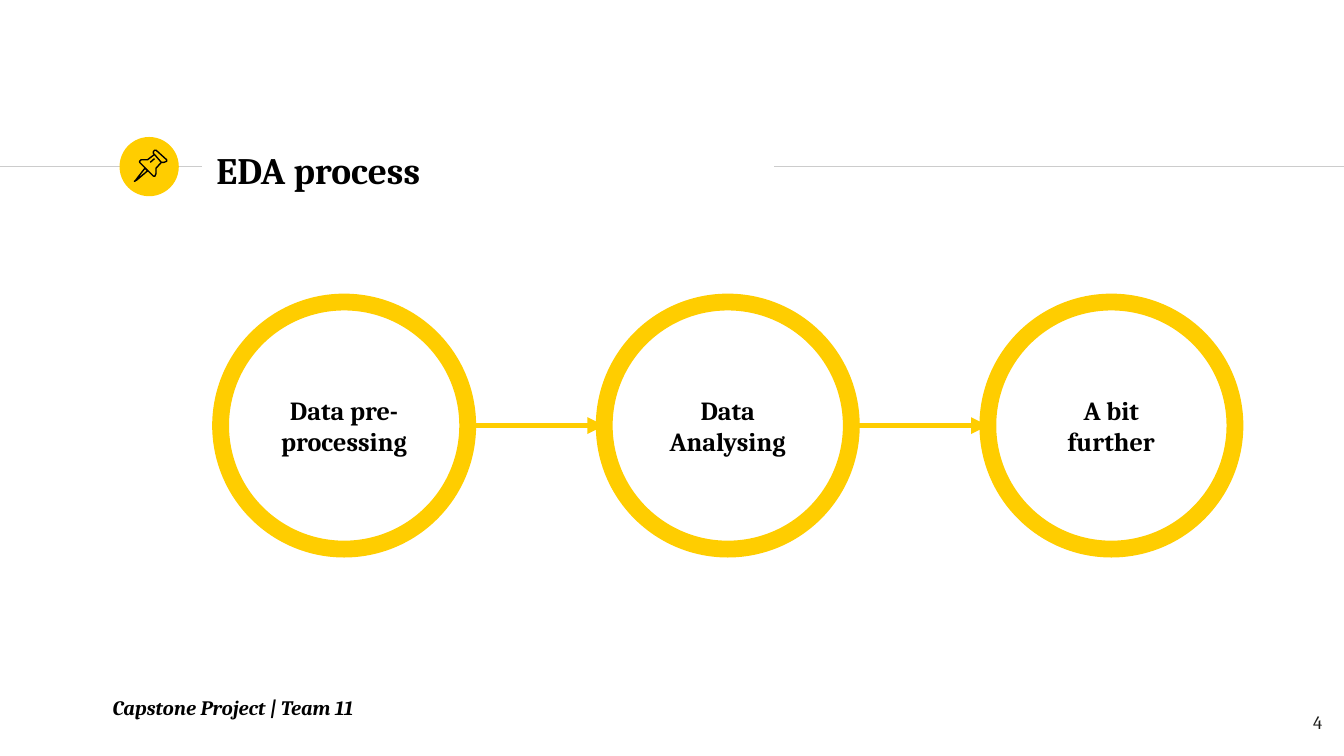
"""Build the EDA process slide: a pinned title and three linked circles."""
from itertools import pairwise

from lxml.etree import SubElement
from pptx import Presentation
from pptx.dml.color import RGBColor as Rgb
from pptx.enum.shapes import MSO_CONNECTOR as Conn, MSO_SHAPE as Kind
from pptx.enum.text import MSO_ANCHOR as Anchor, MSO_AUTO_SIZE as Fit, PP_ALIGN as Align
from pptx.oxml.ns import qn
from pptx.util import Cm, Pt

TITLE = "EDA process"
STEPS = ["Data pre-processing", "Data Analysing", "A bit further"]
FOOT = "Capstone Project | Team 11"
PAGE = "4"
RULES = [(0, 3.81), (14.63, 25.4)]
PIN = [
    ([(274, 318), (257, 340), (254, 343), (259, 340), (279, 323)], True),
    ([(292, 292), (305, 307), (310, 307), (315, 305), (315, 302),
      (295, 284), (292, 284), (290, 287), (290, 290)], True),
    ([(292, 292), (279, 302), (267, 302), (264, 305), (264, 307),
      (290, 333), (293, 333), (295, 328), (295, 318), (305, 307)], False),
    ([(284, 307), (292, 300)], False),
]
THEME = {
    "font": "Cambria", "gold": "FFCD00", "grey": "CCCCCC", "ink": "000000", "soft": "1D1D1B",
    "title": 20, "step": 14, "foot": 11, "page": 10, "thin": 0.75, "link": 3, "ring": 9,
}
WIDE, HIGH = 25.4, 14.29
RULE_Y, DOT = 3.15, 1.12
LEFT, TOP, SIZE, STEP = 4.17, 5.71, 4.67, 7.25


def tint(name):
    return Rgb.from_string(THEME[name])


def write(shape, text, size, align=Align.LEFT, anchor=Anchor.MIDDLE, ink="ink", bold=True, slant=False):
    frame = shape.text_frame
    frame.word_wrap = True
    frame.auto_size = Fit.NONE
    frame.vertical_anchor = anchor
    frame.margin_left = frame.margin_right = frame.margin_top = frame.margin_bottom = Cm(0.25)
    para = frame.paragraphs[0]
    para.alignment = align
    run = para.add_run()
    run.text = text
    font = run.font
    font.name, font.size = THEME["font"], Pt(THEME[size])
    font.bold, font.italic = bold, slant
    font.color.rgb = tint(ink)


def stroke(shape, ink, width):
    shape.line.color.rgb = tint(ink)
    shape.line.width = Pt(THEME[width])


def link(slide, start, end, y, ink, width, arrow=False):
    line = slide.shapes.add_connector(Conn.STRAIGHT, Cm(start), Cm(y), Cm(end), Cm(y))
    stroke(line, ink, width)
    if arrow:
        SubElement(line.line._get_or_add_ln(), qn("a:tailEnd"), type="triangle")
    SubElement(line._element.spPr, qn("a:effectLst"))


def disc(slide, left, top, size):
    shape = slide.shapes.add_shape(Kind.OVAL, Cm(left), Cm(top), Cm(size), Cm(size))
    shape.shadow.inherit = False
    return shape


def head(slide):
    for start, end in RULES:
        link(slide, start, end, RULE_Y, "grey", "thin")
    dot = disc(slide, 2.26, RULE_Y - DOT / 2, DOT)
    dot.fill.solid()
    dot.fill.fore_color.rgb = tint("gold")
    dot.line.fill.background()
    title = slide.shapes.title
    title.left, title.top, title.width, title.height = Cm(3.84), Cm(2.59), Cm(10.77), Cm(1.22)
    write(title, TITLE, "title")
    group = slide.shapes.add_group_shape()
    for (first, *rest), close in PIN:
        pen = group.shapes.build_freeform(*first, scale=Cm(0.01))
        pen.add_line_segments(rest, close=close)
        part = pen.convert_to_shape()
        part.shadow.inherit = False
        part.fill.background()
        stroke(part, "ink", "thin")


def flow(slide):
    spots = [LEFT + i * STEP for i in range(len(STEPS))]
    for left, text in zip(spots, STEPS):
        ring = disc(slide, left, TOP, SIZE)
        ring.fill.background()
        stroke(ring, "gold", "ring")
        write(ring, text, "step", Align.CENTER)
    for one, two in pairwise(spots):
        link(slide, one + SIZE, two, TOP + SIZE / 2, "gold", "link", arrow=True)


def foot(slide):
    page = slide.shapes.add_textbox(Cm(23.72), Cm(13.18), Cm(1.52), Cm(1.09))
    write(page, PAGE, "page", Align.RIGHT, Anchor.TOP, "soft", bold=False)
    note = slide.shapes.add_textbox(Cm(1.88), Cm(12.88), Cm(21.72), Cm(0.91))
    write(note, FOOT, "foot", anchor=Anchor.TOP, slant=True)


def main():
    deck = Presentation()
    deck.slide_width, deck.slide_height = Cm(WIDE), Cm(HIGH)
    slide = deck.slides.add_slide(deck.slide_layouts[5])
    head(slide)
    flow(slide)
    foot(slide)
    deck.save("out.pptx")


if __name__ == "__main__":
    main()
